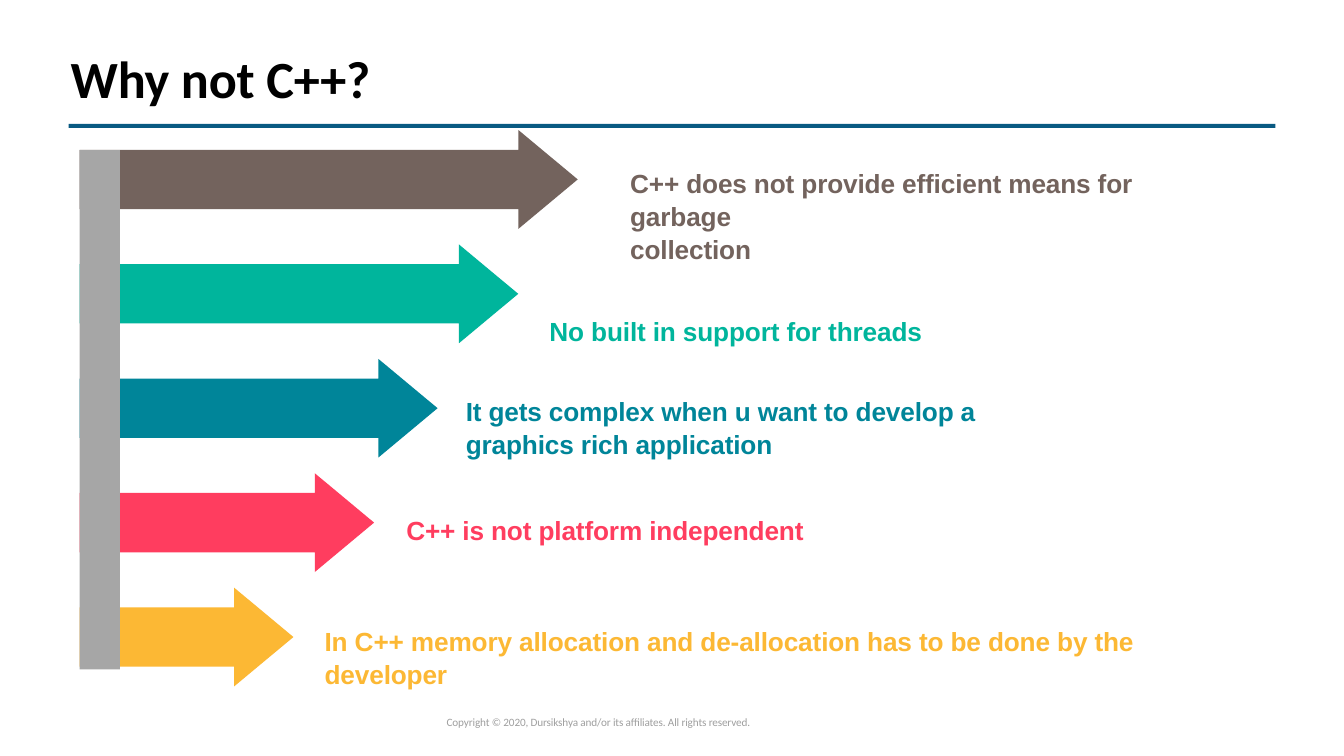
from dataclasses import dataclass
from typing import Any

from pptx import Presentation
from pptx.dml.color import RGBColor
from pptx.enum.shapes import MSO_SHAPE
from pptx.enum.text import MSO_ANCHOR
from pptx.util import Inches, Pt

HUES = {
    "black": "000000", "navy": "095A82", "gray": "A6A6A6", "pale": "9F9F9F",
    "brown": "73635D", "green": "00B59C", "teal": "008599",
    "red": "FF3D5F", "gold": "FCB834",
}
FORMS: dict[str, dict[str, Any]] = {
    "title": {"name": "Calibri", "size": Pt(37.3), "bold": True},
    "reason": {"name": "Arial", "size": Pt(18.7), "bold": True},
    "footer": {"name": "Calibri", "size": Pt(8), "bold": False},
}
LEFT = 0.79
TOP = 1.29
STEP = 1.135
HEAD = 0.98


@dataclass
class Block:
    kind: MSO_SHAPE
    left: float
    top: float
    width: float
    height: float
    hue: str


@dataclass
class Label:
    lines: list[str]
    left: float
    top: float
    width: float
    height: float
    hue: str
    form: str = "reason"
    space: Any = 1.05


@dataclass
class Reason:
    length: float
    label: Label


REASONS = [
    Reason(4.94, Label(["C++ does not provide efficient means for garbage", "collection"],
                       6.25, 1.64, 5.8, 0.95, "brown")),
    Reason(4.35, Label(["No built in support for threads"],
                       5.45, 3.11, 5.8, 0.33, "green")),
    Reason(3.55, Label(["It gets complex when u want to develop a graphics rich application"],
                       4.62, 3.91, 5.8, 0.64, "teal")),
    Reason(2.92, Label(["C++ is not platform independent"],
                       4.03, 5.09, 5.8, 0.33, "red")),
    Reason(2.12, Label(["In C++ memory allocation and de-allocation has to be done by the developer"],
                       3.22, 6.19, 8.8, 0.64, "gold")),
]
TITLE = Label(["Why not C++?"], 0.7, 0.44, 4.16, 0.65, "black", "title", 1.0)
FOOTER = Label(["Copyright © 2020, Dursikshya and/or its affiliates. All rights reserved."],
               4.43, 6.95, 4.5, 0.4, "pale", "footer", Pt(11.5))


def tint(hue: str) -> RGBColor:
    return RGBColor.from_string(HUES[hue])


def draw_block(slide: Any, block: Block) -> Any:
    shape = slide.shapes.add_shape(
        block.kind, Inches(block.left), Inches(block.top),
        Inches(block.width), Inches(block.height))
    shape.shadow.inherit = False
    shape.fill.solid()
    shape.fill.fore_color.rgb = tint(block.hue)
    shape.line.fill.background()
    return shape


def draw_arrow(slide: Any, row: int, reason: Reason) -> None:
    arrow = draw_block(slide, Block(
        MSO_SHAPE.RIGHT_ARROW, LEFT, TOP + row * STEP,
        reason.length, HEAD, reason.label.hue))
    arrow.adjustments[0] = 0.6
    arrow.adjustments[1] = 0.6


def draw_label(slide: Any, label: Label) -> None:
    box = slide.shapes.add_textbox(
        Inches(label.left), Inches(label.top),
        Inches(label.width), Inches(label.height))
    frame = box.text_frame
    anchor = MSO_ANCHOR.TOP if label.form == "reason" else MSO_ANCHOR.MIDDLE
    style = {"word_wrap": True, "vertical_anchor": anchor, "margin_left": 0,
             "margin_right": 0, "margin_top": 0, "margin_bottom": 0}
    for key, value in style.items():
        setattr(frame, key, value)
    for index, line in enumerate(label.lines):
        para = frame.add_paragraph() if index else frame.paragraphs[0]
        para.line_spacing = label.space
        run = para.add_run()
        run.text = line
        for key, value in FORMS[label.form].items():
            setattr(run.font, key, value)
        run.font.color.rgb = tint(label.hue)
        run._r.get_or_add_rPr().set("spc", "-10")


def main() -> None:
    deck = Presentation()
    deck.slide_width = Inches(13.33)
    deck.slide_height = Inches(7.5)
    slide = deck.slides.add_slide(deck.slide_layouts[6])
    draw_block(slide, Block(MSO_SHAPE.RECTANGLE, 0.68, 1.23, 11.97, 0.04, "navy"))
    for row, reason in enumerate(REASONS):
        draw_arrow(slide, row, reason)
    draw_block(slide, Block(MSO_SHAPE.RECTANGLE, LEFT, 1.49, 0.4, 5.15, "gray"))
    for label in [TITLE, *(reason.label for reason in REASONS), FOOTER]:
        draw_label(slide, label)
    deck.save("out.pptx")


if __name__ == "__main__":
    main()
